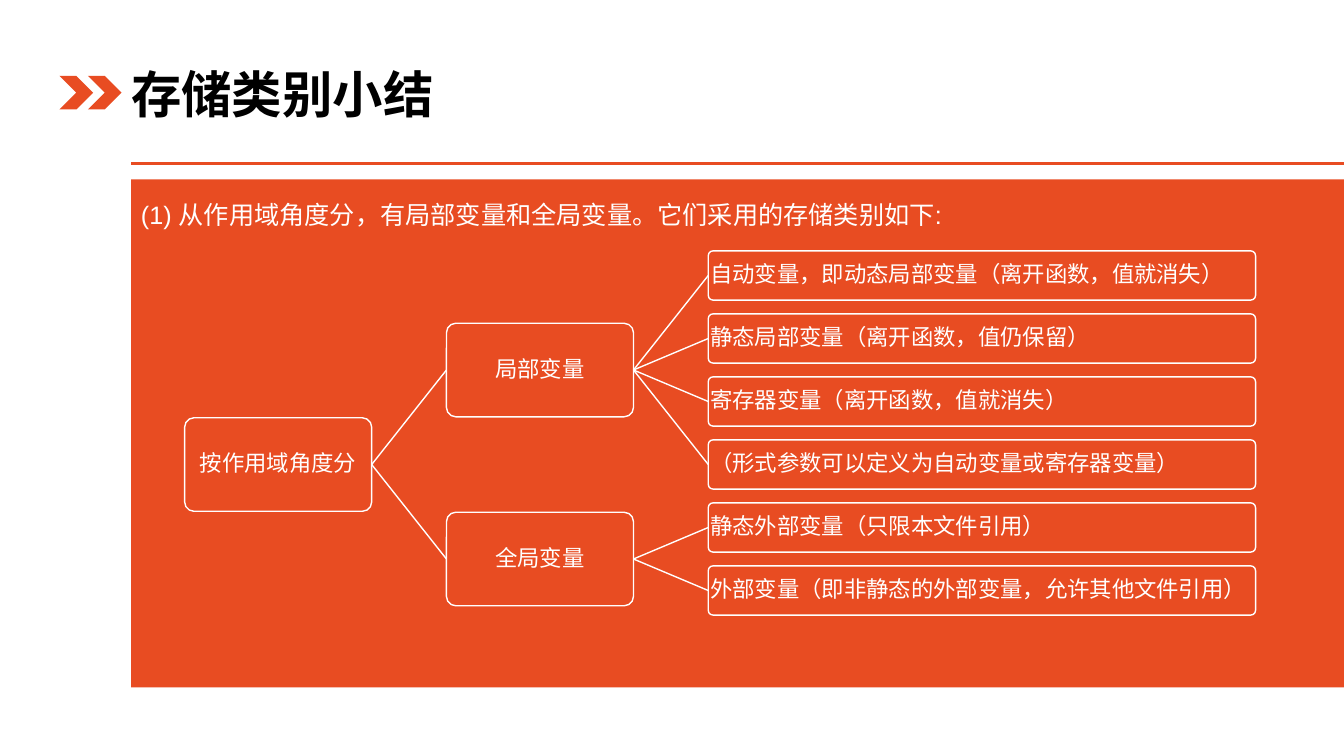
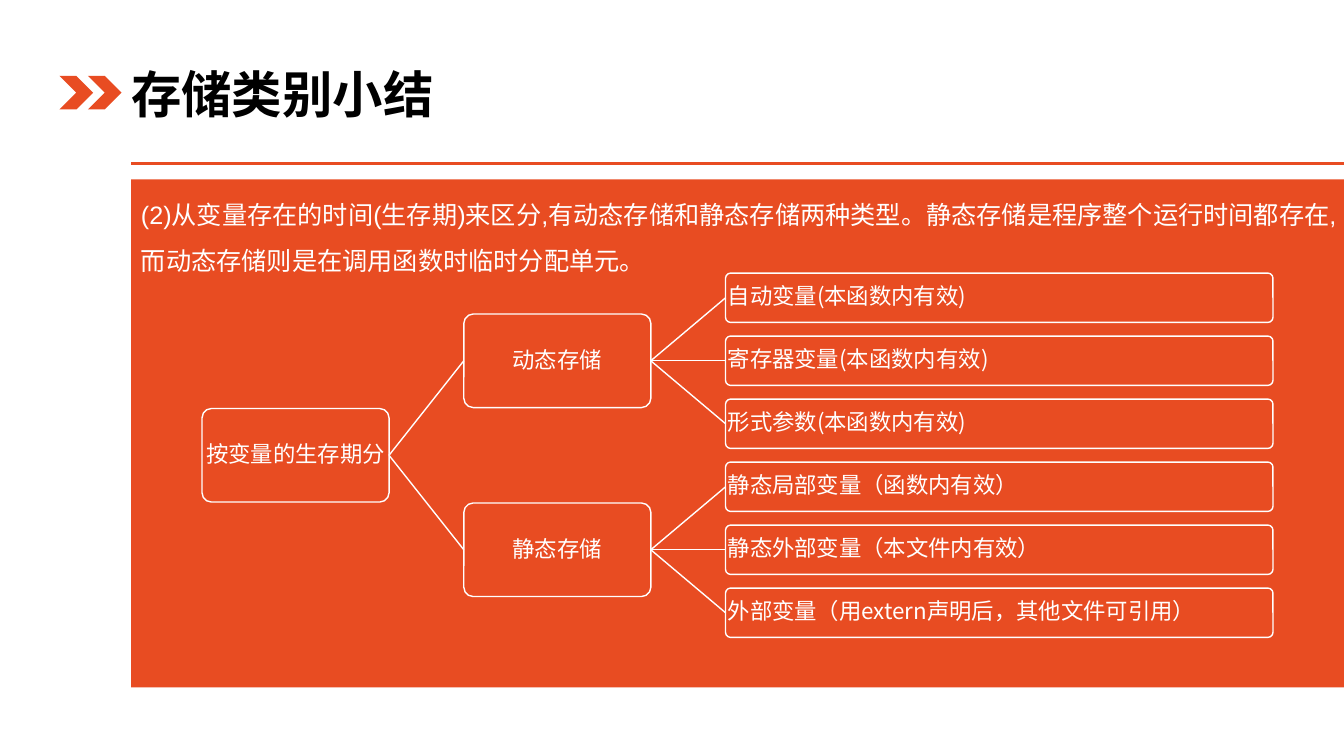
from pptx import Presentation
from pptx import util as u
from pptx.dml.color import RGBColor
from pptx.enum import shapes, text
from pptx.oxml.ns import qn
from lxml import etree

ORANGE, WHITE, BLACK = "E84C22", "FFFFFF", "000000"
HAN_FONT = "Noto Sans CJK SC"
LEFT, CENTER = text.PP_ALIGN.LEFT, text.PP_ALIGN.CENTER
TOP, MIDDLE = text.MSO_ANCHOR.TOP, text.MSO_ANCHOR.MIDDLE

# Text styles
TITLE = {"font": {"name": HAN_FONT, "size": u.Pt(36), "bold": True}, "color": BLACK,
         "para": {"alignment": LEFT},
         "frame": {"vertical_anchor": MIDDLE, "auto_size": text.MSO_AUTO_SIZE.NONE}}
INTRO = {"font": {"name": "Arial", "size": u.Pt(18)}, "color": WHITE,
         "para": {"alignment": LEFT, "line_spacing": 1.5},
         "frame": {"vertical_anchor": TOP, "word_wrap": True}}
margins = {f"margin_{side}": u.Pt(0.5) for side in ("left", "top", "right", "bottom")}
NODE = {"font": {"name": HAN_FONT, "size": u.Pt(16)}, "color": WHITE,
        "para": {"line_spacing": 0.9},
        "frame": {"vertical_anchor": MIDDLE, "word_wrap": True, **margins}}

# Tree geometry: offset from the root, width, height and alignment per column
COLUMNS = [(0, 133.6, 66.8, CENTER), (187, 133.6, 66.8, CENTER), (374, 391, 35.2, LEFT)]
LEAF_PITCH = 45

# Slide content
PAGES = [
    {"intro": "(1) 从作用域角度分，有局部变量和全局变量。它们采用的存储类别如下:",
     "left": 131.9, "first_leaf": 196.8, "root": "按作用域角度分",
     "branches": {
         "局部变量": ["自动变量，即动态局部变量（离开函数，值就消失）",
                  "静态局部变量（离开函数，值仍保留）",
                  "寄存器变量（离开函数，值就消失）",
                  "（形式参数可以定义为自动变量或寄存器变量）"],
         "全局变量": ["静态外部变量（只限本文件引用）",
                  "外部变量（即非静态的外部变量，允许其他文件引用）"]}},
    {"intro": "(2)从变量存在的时间(生存期)来区分,有动态存储和静态存储两种类型。"
              "静态存储是程序整个运行时间都存在,而动态存储则是在调用函数时临时分配单元。",
     "left": 144.3, "first_leaf": 212.7, "root": "按变量的生存期分",
     "branches": {
         "动态存储": ["自动变量(本函数内有效)",
                  "寄存器变量(本函数内有效)",
                  "形式参数(本函数内有效)"],
         "静态存储": ["静态局部变量（函数内有效）",
                  "静态外部变量（本文件内有效）",
                  "外部变量（用extern声明后，其他文件可引用）"]}},
]


def rgb(color):
    return RGBColor.from_string(color)


def write(frame, words, style):
    para = frame.paragraphs[0]
    span = para.add_run()
    span.text = words
    for target, values in ((frame, style["frame"]), (para, style["para"]),
                           (span.font, style["font"])):
        for name, value in values.items():
            setattr(target, name, value)
    span.font.color.rgb = rgb(style["color"])
    etree.SubElement(span._r.get_or_add_rPr(), qn("a:ea"), typeface=HAN_FONT)
    return para


deck = Presentation()
deck.slide_width, deck.slide_height = u.Pt(960), u.Pt(540)

for content in PAGES:
    page = deck.slides.add_slide(deck.slide_layouts[5])

    # Title
    title = page.shapes.title
    title.left, title.top, title.width, title.height = map(u.Pt, (86.4, 38.2, 427.7, 56.9))
    write(title.text_frame, "存储类别小结", TITLE)

    # Rule below the title
    rule = page.shapes.add_connector(shapes.MSO_CONNECTOR.STRAIGHT,
                                     *map(u.Pt, (93.6, 116.6, 960, 116.6)))
    lines = [(rule, ORANGE, 2.25)]

    # Panel with introduction, and the chevrons beside the title
    panel = page.shapes.add_shape(shapes.MSO_SHAPE.RECTANGLE,
                                  *map(u.Pt, (93.6, 128.2, 866.4, 362.9)))
    write(panel.text_frame, content["intro"], INTRO)
    plain = [panel]
    for left in (42.5, 62.8):
        plain.append(page.shapes.add_shape(shapes.MSO_SHAPE.CHEVRON,
                                           *map(u.Pt, (left, 54.2, 24, 24))))
    for shape in plain:
        shape.line.fill.background()

    # Tree nodes as text, column, vertical middle and parent
    nodes, middles, row = [], [], 0
    for branch, leaves in content["branches"].items():
        rows = [content["first_leaf"] + LEAF_PITCH * (row + i) for i in range(len(leaves))]
        middles.append(sum(rows) / len(rows))
        nodes.append((branch, 1, middles[-1], content["root"]))
        nodes += [(leaf, 2, middle, branch) for leaf, middle in zip(leaves, rows)]
        row += len(leaves)
    nodes.insert(0, (content["root"], 0, sum(middles) / len(middles), None))

    # Tree boxes, each joined to its parent
    boxes = {}
    for words, column, middle, parent in nodes:
        offset, width, height, alignment = COLUMNS[column]
        box = page.shapes.add_shape(
            shapes.MSO_SHAPE.ROUNDED_RECTANGLE, u.Pt(content["left"] + offset),
            u.Pt(middle - height / 2), u.Pt(width), u.Pt(height))
        box.adjustments[0] = 0.1
        box.line.color.rgb, box.line.width = rgb(WHITE), u.Pt(1)
        write(box.text_frame, words, NODE).alignment = alignment
        boxes[words] = box
        if parent:
            link = page.shapes.add_connector(shapes.MSO_CONNECTOR.STRAIGHT, 0, 0, 0, 0)
            link.begin_connect(boxes[parent], 3)
            link.end_connect(box, 1)
            lines.append((link, WHITE, 1))

    # Shared finish of shapes and lines
    for shape in [*plain, *boxes.values()]:
        shape.shadow.inherit = False
        shape.fill.solid()
        shape.fill.fore_color.rgb = rgb(ORANGE)
    for line, color, width in lines:
        line.line.color.rgb, line.line.width = rgb(color), u.Pt(width)
        etree.SubElement(line._element.spPr, qn("a:effectLst"))

deck.save("out.pptx")
